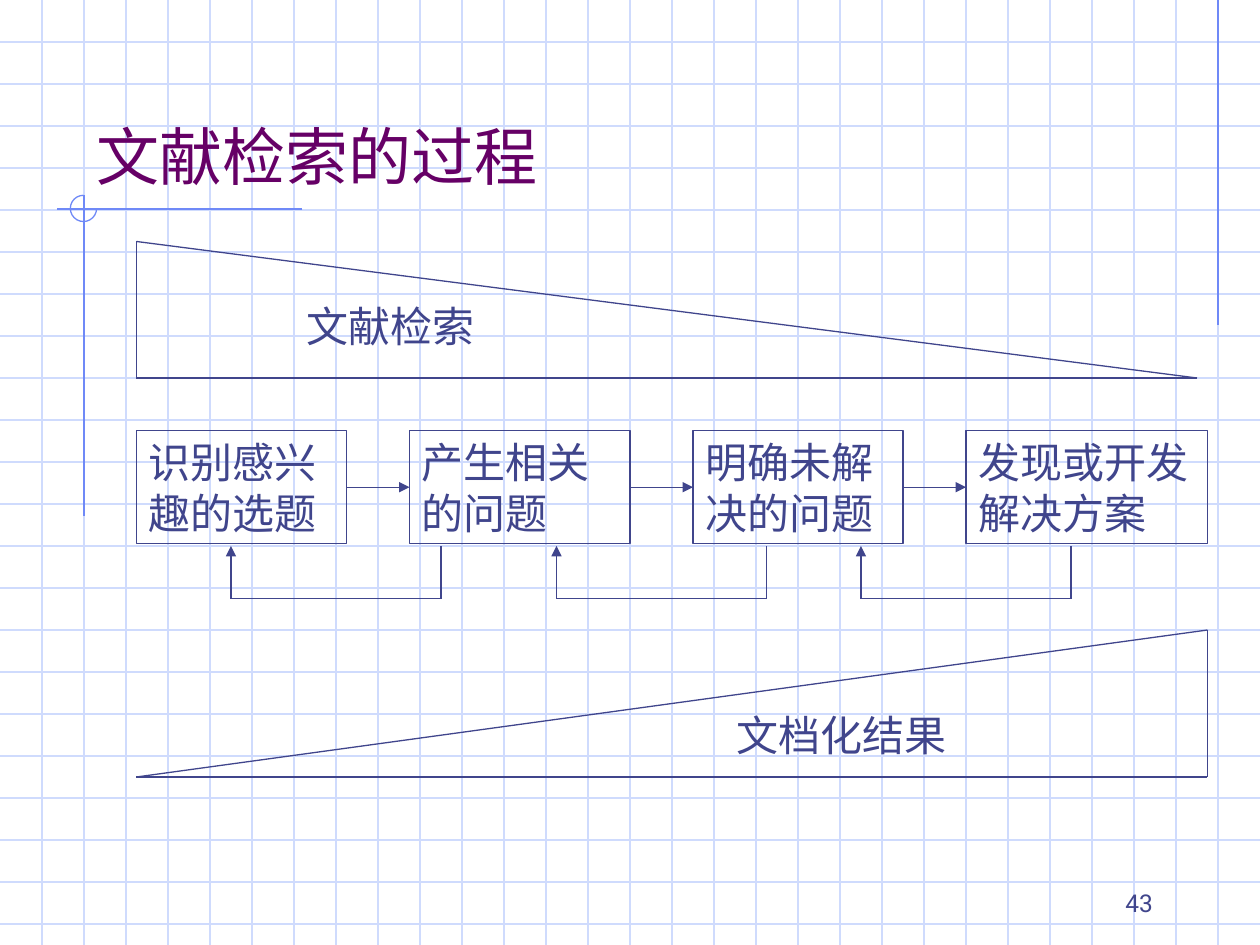
"""Build the literature search process slide on a squared-paper background."""
from lxml.etree import SubElement
from pptx import Presentation
from pptx.dml.color import RGBColor
from pptx.enum.shapes import MSO_CONNECTOR, MSO_SHAPE
from pptx.enum.text import MSO_ANCHOR, MSO_AUTO_SIZE, PP_ALIGN
from pptx.oxml.ns import qn
from pptx.util import Inches, Pt

TITLE = "文献检索的过程"
PAGE_NUMBER = "43"
STEPS = [
    ("识别感兴趣的选题", 20),
    ("产生相关的问题", 21),
    ("明确未解决的问题", 20),
    ("发现或开发解决方案", 23),
]
LABELS = [("文献检索", 28, 28, 18.7), ("文档化结果", 69, 67, 22.7)]
WEDGES = [
    [(13, 36), (114, 36), (13, 23)],
    [(13, 74), (115, 74), (115, 60)],
]
LOOP_STARTS = [42, 73, 102]
LOOP_WIDTH, LOOP_TOP, LOOP_BOTTOM = 20, 52, 57
ACCENT_LINES = [
    ((116, 0), (116, 31)),
    ((28.8, 19.9), (5.4, 19.9)),
    ((8, 18.6), (8, 49.1)),
]

UNITS_PER_INCH = 12
SLIDE_WIDTH, SLIDE_HEIGHT, GRID_STEP = 120, 90, 4
STEP_LEFT, STEP_TOP, STEP_HEIGHT, STEP_GAP = 13, 41, 10.8, 6
FONT = "Roboto"
INK, ACCENT, GRID, TITLE_COLOR = "40458C", "6F89F7", "CFDBFD", "660066"


def units(value):
    return Inches(value / UNITS_PER_INCH)


def color(hex_value):
    return RGBColor.from_string(hex_value)


def style_line(line, hex_value):
    line.color.rgb = color(hex_value)
    line.width = Pt(0.75)


def add_line(slide, start, end, hex_value=INK, arrow=False):
    points = [units(value) for value in (*start, *end)]
    connector = slide.shapes.add_connector(MSO_CONNECTOR.STRAIGHT, *points)
    style_line(connector.line, hex_value)
    if arrow:
        SubElement(connector.line._get_or_add_ln(), qn("a:tailEnd"), type="triangle")
    SubElement(connector._element.spPr, qn("a:effectLst"))
    return connector


def write(shape, text, size, hex_value=INK, align=PP_ALIGN.LEFT,
          anchor=MSO_ANCHOR.TOP, wrap=True, fit=MSO_AUTO_SIZE.NONE):
    frame = shape.text_frame
    frame.word_wrap = wrap
    frame.auto_size = fit
    frame.vertical_anchor = anchor
    paragraph = frame.paragraphs[0]
    paragraph.alignment = align
    run = paragraph.add_run()
    run.text = text
    run.font.name = FONT
    run.font.size = Pt(size)
    run.font.color.rgb = color(hex_value)


def add_text(slide, text, left, top, width, height, size, **options):
    box = slide.shapes.add_textbox(*map(units, (left, top, width, height)))
    write(box, text, size, **options)


def add_background(slide):
    for y in range(GRID_STEP, SLIDE_HEIGHT, GRID_STEP):
        add_line(slide, (0, y), (SLIDE_WIDTH, y), GRID)
    for x in range(GRID_STEP, SLIDE_WIDTH, GRID_STEP):
        add_line(slide, (x, 0), (x, SLIDE_HEIGHT), GRID)
    for start, end in ACCENT_LINES:
        add_line(slide, start, end, ACCENT)
    arc = slide.shapes.add_shape(MSO_SHAPE.ARC, *map(units, (6.7, 18.6, 2.5, 2.5)))
    arc.adjustments[0] = 0
    arc.adjustments[1] = 270 * 60000 / 100000
    arc.shadow.inherit = False
    arc.fill.background()
    style_line(arc.line, ACCENT)


def add_title(slide):
    title = slide.shapes.title
    title.left, title.top, title.width, title.height = map(units, (8, 4, 102, 15))
    write(title, TITLE, 36, TITLE_COLOR, anchor=MSO_ANCHOR.BOTTOM)
    title._element.getparent().append(title._element)


def add_steps(slide):
    left, previous = STEP_LEFT, None
    middle = STEP_TOP + STEP_HEIGHT / 2
    for text, width in STEPS:
        box = slide.shapes.add_shape(
            MSO_SHAPE.RECTANGLE, *map(units, (left, STEP_TOP, width, STEP_HEIGHT)))
        box.shadow.inherit = False
        box.fill.background()
        style_line(box.line, INK)
        write(box, text, 24, fit=MSO_AUTO_SIZE.SHAPE_TO_FIT_TEXT)
        if previous is not None:
            arrow = add_line(slide, (left - STEP_GAP, middle), (left, middle), arrow=True)
            arrow.begin_connect(previous, 3)
            arrow.end_connect(box, 1)
        previous = box
        left += width + STEP_GAP


def add_loops(slide):
    for right in LOOP_STARTS:
        left = right - LOOP_WIDTH
        add_line(slide, (right, LOOP_TOP), (right, LOOP_BOTTOM))
        add_line(slide, (left, LOOP_BOTTOM), (right, LOOP_BOTTOM))
        add_line(slide, (left, LOOP_BOTTOM), (left, LOOP_TOP), arrow=True)


def add_wedges(slide):
    for corners in WEDGES:
        for start, end in zip(corners, corners[1:] + corners[:1]):
            add_line(slide, start, end)
    for text, left, top, width in LABELS:
        add_text(slide, text, left, top, width, 6, 24, wrap=False)


def main():
    presentation = Presentation()
    presentation.slide_width = units(SLIDE_WIDTH)
    presentation.slide_height = units(SLIDE_HEIGHT)
    slide = presentation.slides.add_slide(presentation.slide_layouts[5])
    add_background(slide)
    add_text(slide, PAGE_NUMBER, 86, 82, 25, 6, 14,
             align=PP_ALIGN.RIGHT, anchor=MSO_ANCHOR.BOTTOM)
    add_title(slide)
    add_steps(slide)
    add_wedges(slide)
    add_loops(slide)
    presentation.save("out.pptx")


if __name__ == "__main__":
    main()
